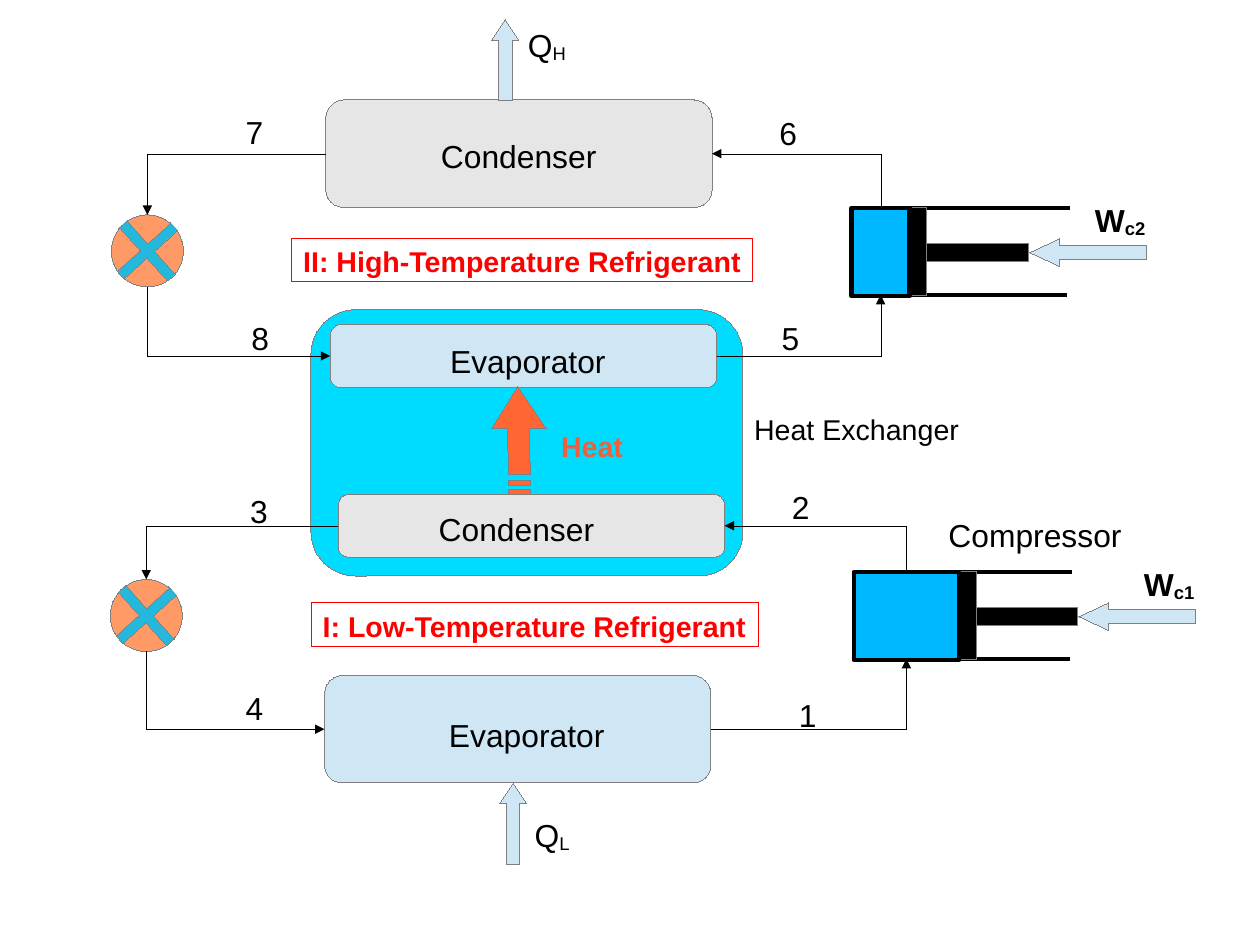
from dataclasses import dataclass

from lxml import etree
from pptx import Presentation
from pptx.dml.color import RGBColor
from pptx.enum.shapes import MSO_CONNECTOR, MSO_SHAPE
from pptx.enum.text import MSO_ANCHOR, MSO_AUTO_SIZE, PP_ALIGN
from pptx.oxml.ns import qn
from pptx.util import Cm, Pt

ROUND, RECT, OVAL = MSO_SHAPE.ROUNDED_RECTANGLE, MSO_SHAPE.RECTANGLE, MSO_SHAPE.OVAL
CROSS, LEFT, UP = MSO_SHAPE.CROSS, MSO_SHAPE.LEFT_ARROW, MSO_SHAPE.UP_ARROW
ELBOW, LINE = MSO_CONNECTOR.ELBOW, MSO_CONNECTOR.STRAIGHT
TOP, GROW = MSO_ANCHOR.TOP, MSO_AUTO_SIZE.SHAPE_TO_FIT_TEXT
MID, START = PP_ALIGN.CENTER, PP_ALIGN.LEFT
COLS, ROWS = 110.24, 82.68  # the slide as a grid of cells


@dataclass(frozen=True)
class Theme:
    font: str = "Arial"
    big: int = 20
    small: int = 18
    thin: float = 0
    thick: float = 2.83
    black: str = "000000"
    edge: str = "808080"
    hot: str = "E6E6E6"
    cold: str = "CFE7F5"
    tank: str = "00DCFF"
    gas: str = "00B8FF"
    valve: str = "FF9966"
    cross: str = "23B8DC"
    heat: str = "FF6633"
    glow: str = "EB613D"
    red: str = "FF0000"


def put(thing, **values):
    for name, value in values.items():
        setattr(thing, name, value)


class Board:
    def __init__(self, deck, theme):
        self.theme = theme
        self.shapes = deck.slides.add_slide(deck.slide_layouts[6]).shapes
        self.col, self.row = deck.slide_width / COLS, deck.slide_height / ROWS

    def spot(self, x, y):
        return round(x * self.col), round(y * self.row)

    def ink(self, line, color, width):
        line.color.rgb = RGBColor.from_string(color)
        # A hairline needs its zero width written out
        line._get_or_add_ln().set("w", str(int(Pt(width))))

    def paint(self, shape, fill, edge, width):
        shape.shadow.inherit = False
        shape.fill.solid()
        shape.fill.fore_color.rgb = RGBColor.from_string(fill)
        self.ink(shape.line, edge, width)

    def form(self, kind, box, fill, adj=(), edge=None, width=0, turn=0):
        x, y, w, h = box
        shape = self.shapes.add_shape(kind, *self.spot(x, y), *self.spot(w, h))
        self.paint(shape, fill, edge or self.theme.edge, width)
        for i, value in enumerate(adj):
            shape.adjustments[i] = value
        shape.rotation = turn

    def link(self, kind, start, end, width):
        link = self.shapes.add_connector(kind, *self.spot(*start), *self.spot(*end))
        self.ink(link.line, self.theme.black, width)
        etree.SubElement(link._element.spPr, qn("a:effectLst"))
        return link

    def pipe(self, side, port, head):
        """Run level from a box side, then upright to a port; head marks the flow."""
        link = self.link(ELBOW, side, port, self.theme.thin)
        link._element.spPr.find(qn("a:prstGeom")).set("prst", "bentConnector2")
        ends = link.line._get_or_add_ln()
        etree.SubElement(ends, qn("a:" + head), type="triangle")

    def text(self, words, box, sub="", size=None, color=None, bold=False,
             wrap=True, align=START, frame=None):
        x, y, w, h = box
        area = self.shapes.add_textbox(*self.spot(x, y), *self.spot(w, h))
        put(area.text_frame, word_wrap=wrap, auto_size=GROW, vertical_anchor=TOP)
        if frame:
            self.ink(area.line, frame, self.theme.thin)
        para = area.text_frame.paragraphs[0]
        para.alignment = align
        for part in filter(None, (words, sub)):
            run = para.add_run()
            run.text = part
            put(run.font, name=self.theme.font, bold=bold,
                size=Pt(size or self.theme.big))
            run.font.color.rgb = RGBColor.from_string(color or self.theme.black)
            if part == sub:
                run._r.get_or_add_rPr().set("baseline", "-8000")

    def free(self, loops, fill):
        first, *others = [[self.spot(*p) for p in loop] for loop in loops]
        pen = self.shapes.build_freeform(*first[0])
        pen.add_line_segments(first[1:], close=True)
        for loop in others:
            pen.move_to(*loop[0])
            pen.add_line_segments(loop[1:], close=True)
        self.paint(pen.convert_to_shape(), fill, self.theme.edge, self.theme.thin)

    def press(self, x, y, room, sub):
        """Cylinder with gas room, piston, rod and work arrow."""
        t = self.theme
        for start, end in (((x, y), (x + 19.1, y)),
                           ((x - 0.1, y + 7.6), (x + 18.9, y + 7.6)),
                           ((x, y), (x, y + 7.6))):
            self.link(LINE, start, end, t.thick)
        rod = x + room + 1.5
        self.form(RECT, (rod, y + 3.1, 8.9, 1.6), t.black)
        self.form(RECT, (x + room, y, 1.5, 7.7), t.black)
        self.form(RECT, (x, y, room, 7.7), t.gas, edge=t.black, width=t.thick)
        self.form(LEFT, (rod + 9, y + 2.7, 10.2, 2.4), t.cold, (0.5, 1.08))
        self.text("W", (rod + 13.7, y - 1.1, 7.2, 5), sub, bold=True)

    def choke(self, x, y, size):
        box = (x - size / 2, y, size, size)
        self.form(OVAL, box, self.theme.valve)
        self.form(CROSS, box, self.theme.cross, (0.43,), turn=48)

    def stage(self, hot, cold, press, choke, marks, names, heat, tag):
        """One loop: condenser, valve, evaporator and compressor."""
        t = self.theme
        for box, fill in ((hot, t.hot), (cold, t.cold)):
            self.form(ROUND, box, fill, (0.167,))
        self.text("Condenser", (*names[0], 17.3, 4.1))
        self.text("Evaporator", (*names[1], 15.6, 4.1), wrap=False)
        self.press(*press)
        self.choke(*choke)
        # Pipes between the four parts
        x, y, room, _ = press
        port, (valve, top, size) = x + room / 2, choke
        for box, right, end, head in (
                (hot, 0, (valve, top), "tailEnd"),
                (cold, 0, (valve, top + size), "headEnd"),
                (cold, 1, (port, y + 7.6), "tailEnd"),
                (hot, 1, (port, y), "headEnd")):
            side = (box[0] + right * box[2], box[1] + box[3] / 2)
            self.pipe(side, end, head)
        for mark, place in marks.items():
            self.text(mark, (*place, 3.5, 4.1))
        # Heat in or out
        spot, place, sub = heat
        self.form(UP, (*spot, 2.4, 7.1), t.cold, (0.5, 0.75))
        self.text("Q", (*place, 6.6, 5), sub)
        self.text(tag[0], tag[1], size=t.small, color=t.red, bold=True,
                  wrap=False, frame=t.red)


def main():
    deck = Presentation()
    deck.slide_width = Cm(28)
    deck.slide_height = Cm(21)
    theme = Theme()
    board = Board(deck, theme)

    # Heat exchanger behind both loops
    board.form(ROUND, (27.2, 27.1, 37.8, 23.3), theme.tank, (0.167,))

    # Low loop
    board.stage(
        hot=(29.6, 43.25, 33.8, 5.5), cold=(28.4, 59.1, 33.8, 9.4),
        press=(74.7, 50.05, 9.2, "c1"), choke=(12.8, 50.7, 6.3),
        marks={"3": (20.9, 42.5), "4": (20.5, 59.8),
               "1": (68.9, 60.4), "2": (68.3, 42.2)},
        names=((37.4, 44.1), (38.3, 62.1)),
        heat=((43.7, 68.5), (45.8, 70.9), "L"),
        tag=("I: Low-Temperature Refrigerant", (27.25, 52.75, 39.1, 3.8)))
    board.text("Compressor", (82, 44.6, 17.2, 4.1))

    # High loop
    board.stage(
        hot=(28.5, 8.75, 33.8, 9.4), cold=(28.9, 28.4, 33.8, 5.5),
        press=(74.5, 18.2, 5.1, "c2"), choke=(12.9, 18.8, 6.3),
        marks={"7": (20.5, 9.4), "8": (21, 27.4),
               "5": (67.4, 27.4), "6": (67.2, 9.5)},
        names=((37.6, 11.5), (38.4, 29.4)),
        heat=((43, 1.7), (45.2, 1.8), "H"),
        tag=("II: High-Temperature Refrigerant", (25.55, 20.85, 40.3, 3.8)))

    # Heat passing between the loops
    arrow = [(45.3, 33.8), (47.8, 37.5), (46.3, 37.5), (46.4, 41.5),
             (44.5, 41.5), (44.4, 37.5), (43, 37.5)]
    bars = [[(44.5, y), (46.4, y), (46.4, y + 0.45), (44.5, y + 0.45)]
            for y in (42, 42.85)]
    board.free([arrow, *bars], theme.heat)
    board.text("Heat", (48.1, 37, 7.4, 3.8), size=theme.small, color=theme.glow,
               bold=True, wrap=False, align=MID)
    board.text("Heat Exchanger", (65, 35.55, 19.9, 3.8), size=theme.small,
               wrap=False, align=MID)

    deck.save("out.pptx")


if __name__ == "__main__":
    main()
